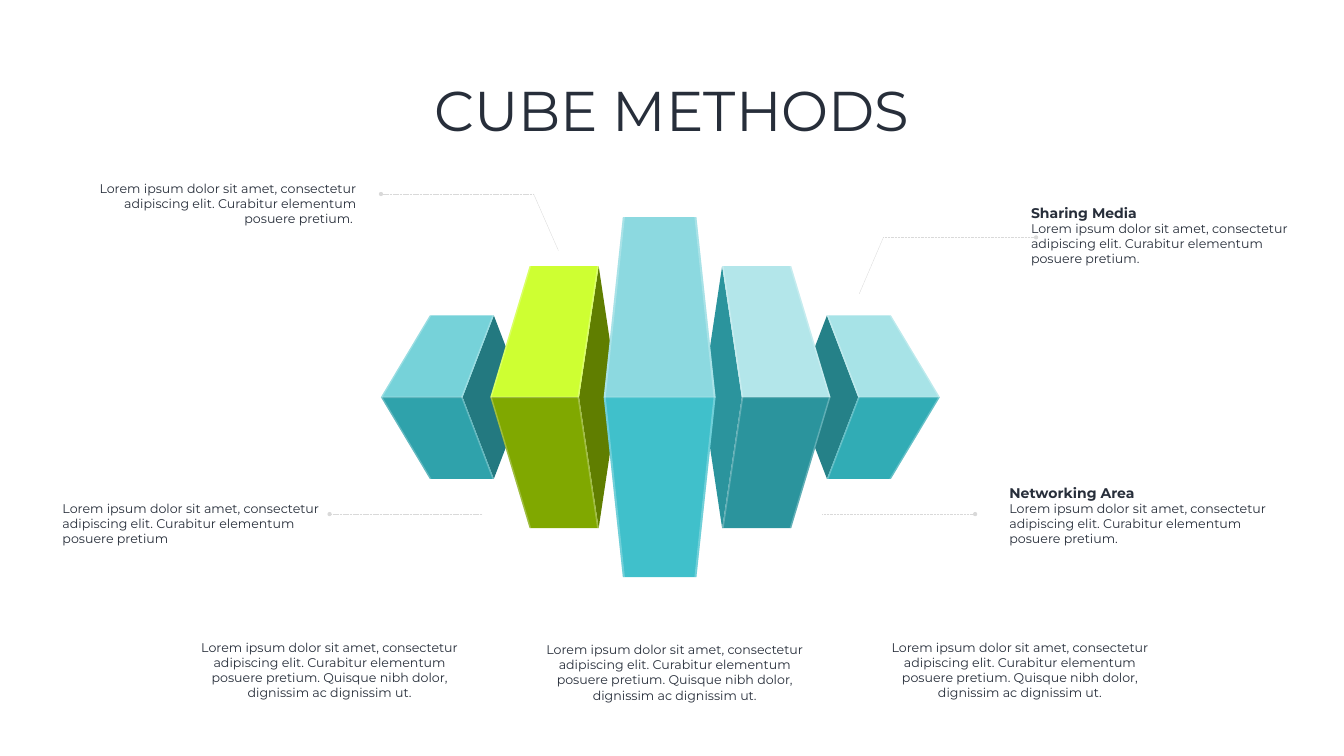
import pptx
import pptx.util
import pptx.dml.color
import pptx.enum.dml
import pptx.enum.shapes
import pptx.enum.text
import pptx.oxml
import pptx.oxml.ns
import lxml.etree

Inches = pptx.util.Inches
Pt = pptx.util.Pt
ALIGN = pptx.enum.text.PP_ALIGN
FONT = "Montserrat"
INK = "272E3A"
HEADING_LINE = 0.34
SHORT = "Lorem ipsum dolor sit amet, consectetur adipiscing elit. Curabitur elementum posuere pretium"
LONG = SHORT + ". Quisque nibh dolor, dignissim ac dignissim ut."


def colour(hex_code):
    return pptx.dml.color.RGBColor.from_string(hex_code)


def sub(parent, tag, **attributes):
    return lxml.etree.SubElement(parent, pptx.oxml.ns.qn(tag), attributes)


def style(paragraph, size, bold=False):
    paragraph.font.name = FONT
    paragraph.font.size = Pt(size)
    paragraph.font.bold = bold
    paragraph.font.color.rgb = colour(INK)


def add_title(slide, left, top, width, height, wording):
    title = slide.shapes.title
    title.left, title.top = Inches(left), Inches(top)
    title.width, title.height = Inches(width), Inches(height)
    frame = title.text_frame
    frame.text = wording
    frame.auto_size = pptx.enum.text.MSO_AUTO_SIZE.NONE
    frame.vertical_anchor = pptx.enum.text.MSO_ANCHOR.MIDDLE
    paragraph = frame.paragraphs[0]
    paragraph.alignment = ALIGN.CENTER
    paragraph.line_spacing = 0.9
    style(paragraph, 80)


def add_note(slide, left, top, width, height, body, heading=None, align=ALIGN.LEFT):
    note = slide.shapes.add_textbox(Inches(left), Inches(top), Inches(width), Inches(height))
    frame = note.text_frame
    frame.word_wrap = True
    frame.margin_left = frame.margin_right = Inches(0.2)
    frame.margin_top = Inches(0.1 if heading else 0.1 + HEADING_LINE)
    frame.margin_bottom = Inches(0.1)
    paragraph = frame.paragraphs[0]
    if heading:
        paragraph.text = heading
        style(paragraph, 20, bold=True)
        paragraph = frame.add_paragraph()
    paragraph.text = body
    paragraph.alignment = align
    style(paragraph, 18)


def add_leader(slide, points):
    for start, end in zip(points, points[1:]):
        leader = slide.shapes.add_connector(
            pptx.enum.shapes.MSO_CONNECTOR.STRAIGHT, *map(Inches, start + end))
        leader.line.color.rgb = colour("D9D9D9")
        leader.line.width = Pt(0.5)
        leader.line.dash_style = pptx.enum.dml.MSO_LINE.SQUARE_DOT
        if end == points[-1]:
            sub(leader.line._get_or_add_ln(), "a:tailEnd", type="oval")
        sub(leader._element.spPr, "a:effectLst")


def add_face(group, points, fill, opacity=None):
    corners = [(Inches(x), Inches(y)) for x, y in points]
    builder = group.shapes.build_freeform(*corners[0])
    builder.add_line_segments(corners[1:], close=True)
    face = builder.convert_to_shape()
    face.shadow.inherit = False
    face.fill.solid()
    face.fill.fore_color.rgb = colour(fill)
    face.line.fill.background()
    if opacity:
        tint = face._element.spPr.find(".//" + pptx.oxml.ns.qn("a:srgbClr"))
        sub(tint, "a:alpha", val=str(opacity * 1000))


def add_glint(group, points):
    add_face(group, points, "FFFFFF", 25)


def add_cube_fan(slide, left, top, width, height):
    group = slide.shapes.add_group_shape()
    middle = top + height / 2

    def edge_glint(x, front, back, reach, thickness):
        add_glint(group, [
            (x(front), middle), (x(back), middle - reach),
            (x(back + thickness), middle - reach), (x(front + thickness), middle),
            (x(back + thickness), middle + reach), (x(back), middle + reach)])

    def seam_glint(start, end):
        add_glint(group, [(start, middle - 0.01), (end, middle - 0.01),
                          (end, middle + 0.02), (start, middle + 0.02)])

    def two_faces(ridge, back, reach, fills):
        for direction, fill in zip((-1, 1), fills):
            far = middle + direction * reach
            add_face(group, [(ridge[0], middle), (back[0], far),
                             (back[1], far), (ridge[1], middle)], fill)

    def side_block(mirrored, outer, inner, back_outer, back_inner, tip, reach, fills):
        def x(offset):
            return left + (width - offset if mirrored else offset)

        add_face(group, [(x(inner), middle), (x(back_inner), middle - reach),
                         (x(tip), middle), (x(back_inner), middle + reach)], fills[0])
        two_faces((x(outer), x(inner)), (x(back_outer), x(back_inner)), reach, fills[1:])
        seam_glint(x(outer), x(inner))
        edge_glint(x, outer, back_outer, reach, 0.03)
        edge_glint(x, inner, back_inner, reach, -0.03)

    def centre_block(ridge, back, fills):
        def x(offset):
            return left + offset

        two_faces([x(r) for r in ridge], [x(b) for b in back], height / 2, fills)
        seam_glint(x(ridge[0]), x(ridge[1]))
        for front, rear, thickness in zip(ridge, back, (0.04, -0.04)):
            edge_glint(x, front, rear, height / 2, thickness)

    outer_block = (0, 1.62, 0.97, 2.24, 2.86, 1.62)
    inner_block = (2.17, 3.93, 2.95, 4.32, 4.71, 2.6)
    side_block(False, *outer_block, ("237980", "76D2D9", "2FA2AB"))
    side_block(False, *inner_block, ("607E00", "CEFF32", "80A800"))
    side_block(True, *outer_block, ("258188", "A7E3E7", "31ACB5"))
    side_block(True, *inner_block, ("2B949D", "B3E6EA", "2B949D"))
    centre_block((4.42, 6.64), (4.8, 6.26), ("8CD9E0", "40C0CB"))


def main():
    deck = pptx.Presentation()
    deck.slide_width, deck.slide_height = Inches(26.67), Inches(15)
    slide = deck.slides.add_slide(deck.slide_layouts[5])

    add_title(slide, 1.83, 0.8, 23, 2.9, "CUBE METHODS")
    add_cube_fan(slide, 7.56, 4.31, 11.09, 7.14)

    for leader in (
        [(17.05, 5.83), (17.53, 4.71), (20.56, 4.71)],
        [(16.32, 10.2), (19.35, 10.2)],
        [(11.08, 4.97), (10.59, 3.85), (7.56, 3.85)],
        [(9.57, 10.2), (6.54, 10.2)],
    ):
        add_leader(slide, leader)

    add_note(slide, 20.26, 3.95, 5.9, 1.95, SHORT + ".", "Sharing Media")
    add_note(slide, 19.83, 9.51, 5.9, 1.95, SHORT + ".", "Networking Area")
    add_note(slide, 1.37, 3.14, 5.9, 1.98, SHORT + ". ", align=ALIGN.RIGHT)
    add_note(slide, 1.04, 9.5, 5.9, 1.87, SHORT)
    for column, top in enumerate((12.25, 12.3, 12.25)):
        add_note(slide, 3.78 + column * 6.85, top, 5.52, 2.3, LONG, align=ALIGN.CENTER)

    deck.save("out.pptx")


if __name__ == "__main__":
    main()
